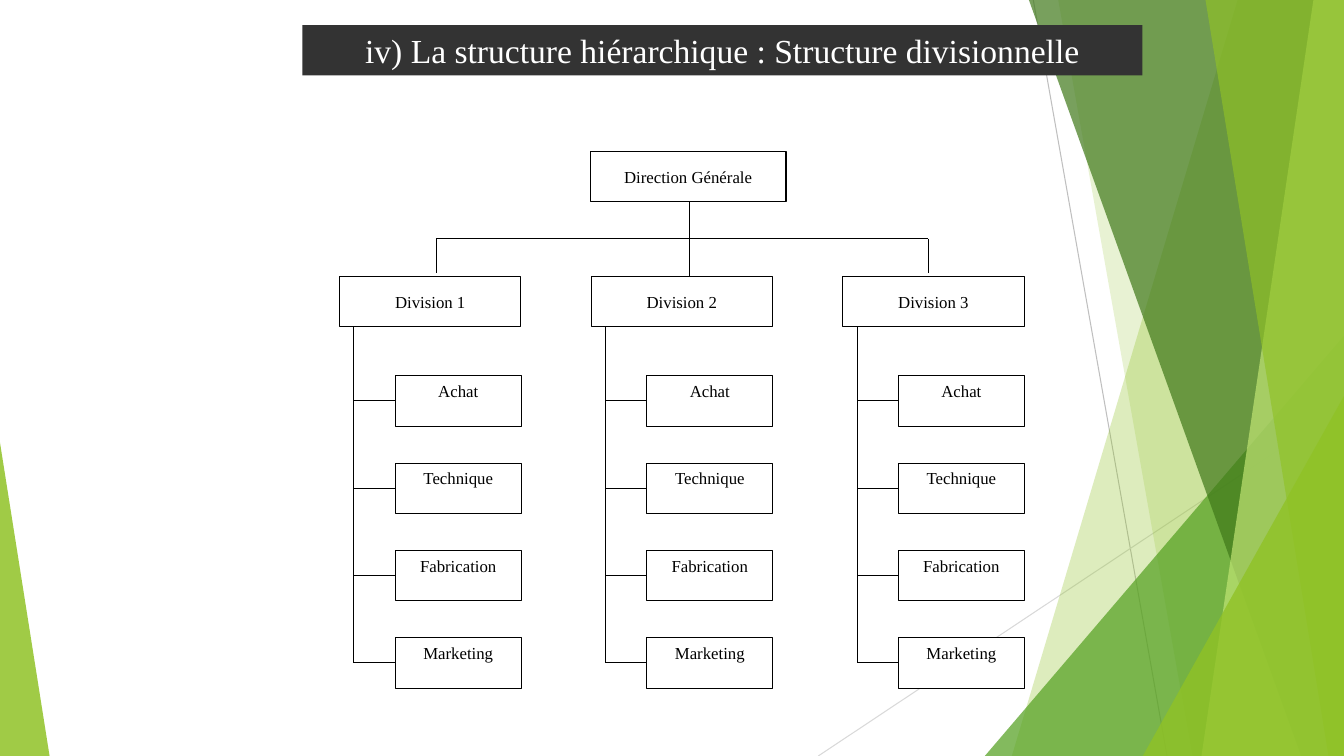
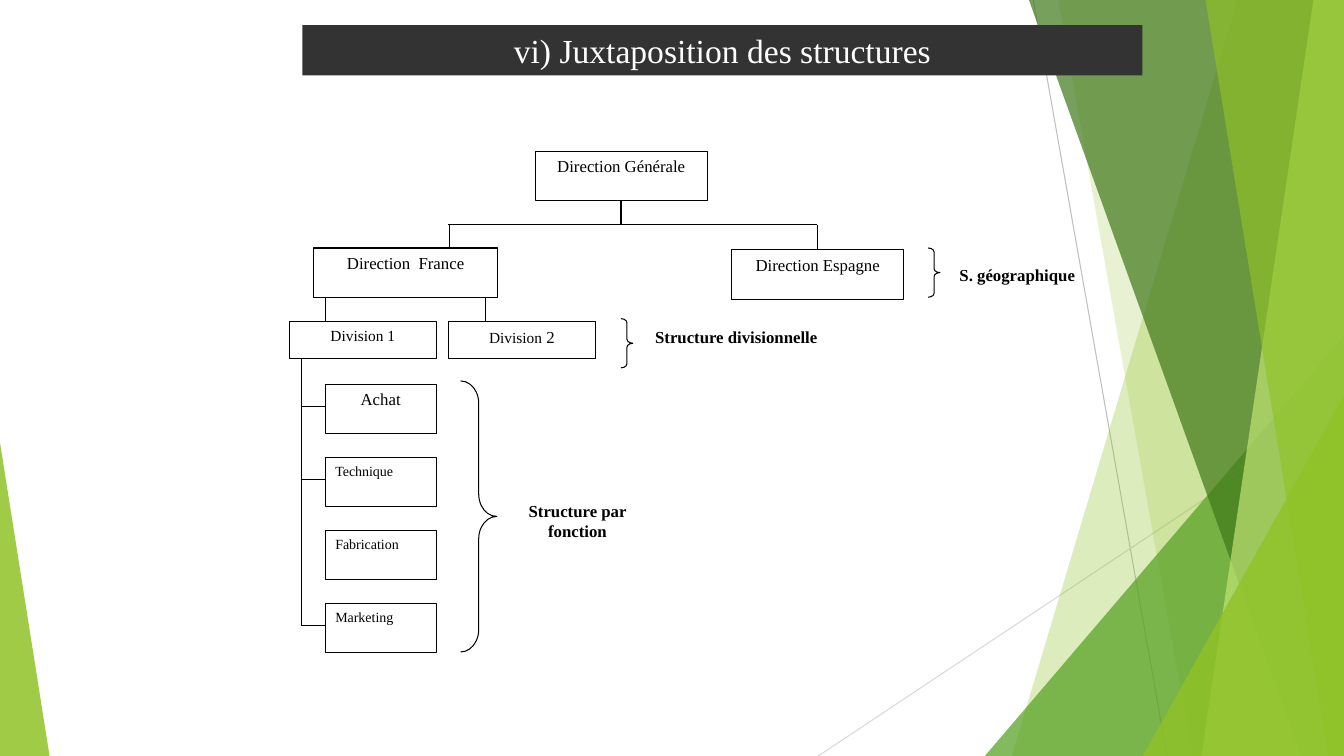
import pptx
import pptx.dml.color
import pptx.enum.shapes
import pptx.enum.text
import pptx.oxml
import pptx.oxml.ns
import pptx.util

Cm = pptx.util.Cm
SHAPE = pptx.enum.shapes.MSO_SHAPE
ALIGN = pptx.enum.text.PP_ALIGN
ANCHOR = pptx.enum.text.MSO_ANCHOR
FONT = "Times New Roman"
WIDTH, HEIGHT = 33.87, 19.05
COLOURS = {
    "ink": "000000", "paper": "FFFFFF", "band": "333333",
    "grey": "BFBFBF", "pale grey": "D9D9D9",
    "lime": "90C226", "pale lime": "C0E474", "green": "54A021", "dark green": "3F7819",
}
RGB = {name: pptx.dml.color.RGBColor.from_string(code) for name, code in COLOURS.items()}


def add_line(page, x1, y1, x2, y2, colour="ink"):
    line = page.shapes.add_connector(
        pptx.enum.shapes.MSO_CONNECTOR.STRAIGHT, Cm(x1), Cm(y1), Cm(x2), Cm(y2))
    line.line.color.rgb = RGB[colour]
    line.line.width = pptx.util.Pt(0.75)
    pptx.oxml.ns.qn("a:effectLst")
    line.element.spPr.append(pptx.oxml.parse_xml(
        "<a:effectLst %s/>" % pptx.oxml.ns.nsdecls("a")))
    return line


def write_text(shape, spans, align=ALIGN.CENTER, anchor=ANCHOR.TOP, colour="ink", bold=False):
    """Fill the shape with one paragraph made of (text, size) spans."""
    frame = shape.text_frame
    frame.word_wrap = True
    frame.auto_size = pptx.enum.text.MSO_AUTO_SIZE.NONE
    frame.vertical_anchor = anchor
    para = frame.paragraphs[0]
    para.alignment = align
    for text, size in spans:
        span = para.add_run()
        span.text = text
        span.font.name = FONT
        span.font.size = pptx.util.Pt(size)
        span.font.bold = bold
        span.font.color.rgb = RGB[colour]


deck = pptx.Presentation()
deck.slide_width, deck.slide_height = Cm(WIDTH), Cm(HEIGHT)
layout = deck.slide_layouts[5]
for holder in list(layout.placeholders)[1:]:
    holder.element.getparent().remove(holder.element)

# Pages with their title bands
pages = []
for title in ("iv) La structure hiérarchique : Structure divisionnelle",
              "vi) Juxtaposition des structures"):
    page = deck.slides.add_slide(layout)
    band = page.shapes.title
    band.left, band.top, band.width, band.height = Cm(7.62), Cm(0.63), Cm(21.17), Cm(1.27)
    band.fill.solid()
    band.fill.fore_color.rgb = RGB["band"]
    write_text(band, [(title, 24)], anchor=ANCHOR.MIDDLE, colour="paper")
    pages.append(page)
division_page, mixed_page = pages

# Green facets, drawn once and moved to the shared layout.
# Panels reach the right edge: (top x, bottom x).
# Triangles: (left, top, width, height, apex).
facets = [
    ("lime", 30, (31.19, 25.5)),
    ("lime", 20, (26.67, 30.05)),
    ("green", 72, (24.82, 8.46, 9.05, 10.59, 1)),
    ("dark green", 70, (25.93, 32.79)),
    ("pale lime", 70, (33.1, 30.28)),
    ("lime", 65, (30.38, 33.48)),
    ("lime", 80, (28.8, 9.98, 5.07, 9.07, 1)),
    ("lime", 85, (0, 11.15, 1.25, 7.9, 0)),
]
decoration = [
    add_line(division_page, 26.04, 0, 29.41, HEIGHT, "grey"),
    add_line(division_page, WIDTH, 10.24, 20.62, HEIGHT, "pale grey"),
]
for colour, opacity, geometry in facets:
    if len(geometry) == 2:
        top_x, bottom_x = geometry
        outline = division_page.shapes.build_freeform(Cm(top_x), 0)
        outline.add_line_segments([
            (Cm(WIDTH), 0), (Cm(WIDTH), Cm(HEIGHT)), (Cm(bottom_x), Cm(HEIGHT))])
        facet = outline.convert_to_shape()
    else:
        *frame, apex = geometry
        facet = division_page.shapes.add_shape(
            SHAPE.ISOSCELES_TRIANGLE, *[Cm(length) for length in frame])
        facet.adjustments[0] = apex
    facet.shadow.inherit = False
    facet.fill.solid()
    facet.fill.fore_color.rgb = RGB[colour]
    facet.line.fill.background()
    tint = facet.element.spPr.find(".//" + pptx.oxml.ns.qn("a:srgbClr"))
    tint.append(pptx.oxml.parse_xml(
        '<a:alpha %s val="%d"/>' % (pptx.oxml.ns.nsdecls("a"), opacity * 1000)))
    decoration.append(facet)
for shape in decoration:
    layout.shapes.element.append(shape.element)

functions = ["Achat", "Technique", "Fabrication", "Marketing"]

# Divisional chart: (spans, left, top, width, height, align, anchor)
division_boxes = [([("Direction Générale", 12)], 14.88, 3.81, 4.93, 1.27,
                   ALIGN.CENTER, ANCHOR.MIDDLE)]
division_lines = [
    (17.37, 5.08, 17.37, 6.96), (11, 6.02, 23.39, 6.02),
    (11, 6.02, 11, 6.88), (23.39, 6.02, 23.39, 6.88),
]
for column in range(3):
    left = 8.56 + 6.34 * column
    trunk = left + 0.36
    division_boxes.append(([(f"Division {column + 1}", 12)], left, 6.96, 4.57, 1.27,
                           ALIGN.CENTER, ANCHOR.MIDDLE))
    for row, function in enumerate(functions):
        top = 9.47 + 2.2 * row
        middle = top + 0.63
        division_boxes.append(([(function, 12)], left + 1.4, top, 3.18, 1.27,
                               ALIGN.CENTER, ANCHOR.TOP))
        division_lines.append((trunk, middle, left + 1.4, middle))
    division_lines.append((trunk, 8.23, trunk, middle))

# Mixed chart
mixed_boxes = [(spans, *frame, ALIGN.CENTER, ANCHOR.TOP) for spans, frame in (
    ([("Direction Générale", 12)], (13.49, 3.81, 4.34, 1.24)),
    ([("Direction  France", 12)], (7.9, 6.25, 4.65, 1.24)),
    ([("Direction Espagne", 12)], (18.44, 6.3, 4.34, 1.24)),
    ([("Division 1", 11)], (7.29, 8.1, 3.71, 0.94)),
    ([("Division", 11), (" 2", 12)], (11.3, 8.1, 3.71, 0.94)),
)]
mixed_lines = [
    (15.65, 5.05, 15.65, 5.66), (11.3, 5.66, 20.6, 5.66),
    (11.33, 5.66, 11.33, 6.25), (20.6, 5.66, 20.6, 6.3),
    (8.2, 7.49, 8.2, 8.1), (12.24, 7.49, 12.24, 8.1),
    (7.59, 9.04, 7.59, 15.76),
]
for row, function in enumerate(functions):
    top = 9.68 + 1.84 * row
    size, align = (12, ALIGN.CENTER) if function == "Achat" else (10, ALIGN.LEFT)
    mixed_boxes.append(([(function, size)], 8.2, top, 2.79, 1.24, align, ANCHOR.TOP))
    if function != "Fabrication":
        mixed_lines.append((7.59, top + 0.56, 8.2, top + 0.56))

for page, boxes, lines in ((division_page, division_boxes, division_lines),
                           (mixed_page, mixed_boxes, mixed_lines)):
    for spans, left, top, width, height, align, anchor in boxes:
        box = page.shapes.add_shape(SHAPE.RECTANGLE, Cm(left), Cm(top), Cm(width), Cm(height))
        box.shadow.inherit = False
        box.fill.solid()
        box.fill.fore_color.rgb = RGB["paper"]
        box.line.color.rgb = RGB["ink"]
        box.line.width = pptx.util.Pt(0.75)
        write_text(box, spans, align, anchor)
    for ends in lines:
        add_line(page, *ends)

# Braces naming each level of the mixed chart
levels = [
    ("S. géographique", ALIGN.LEFT, (23.93, 6.55, 3.71, 1.24), (23.39, 6.25, 0.3, 1.24), 0.33),
    ("Structure divisionnelle", ALIGN.LEFT, (16.26, 8.1, 4.95, 1.02),
     (15.65, 8.03, 0.3, 1.24), 0.34),
    ("Structure par fonction", ALIGN.CENTER, (12.7, 12.5, 3.71, 1.55),
     (11.61, 9.6, 0.91, 6.83), 0.62),
]
for text, align, label_frame, brace_frame, curve in levels:
    brace = mixed_page.shapes.add_shape(
        SHAPE.RIGHT_BRACE, *[Cm(length) for length in brace_frame])
    brace.adjustments[0] = curve
    brace.shadow.inherit = False
    brace.fill.background()
    brace.line.color.rgb = RGB["ink"]
    brace.line.width = pptx.util.Pt(0.75)
    label = mixed_page.shapes.add_textbox(*[Cm(length) for length in label_frame])
    write_text(label, [(text, 12)], align, bold=True)

deck.save("out.pptx")
